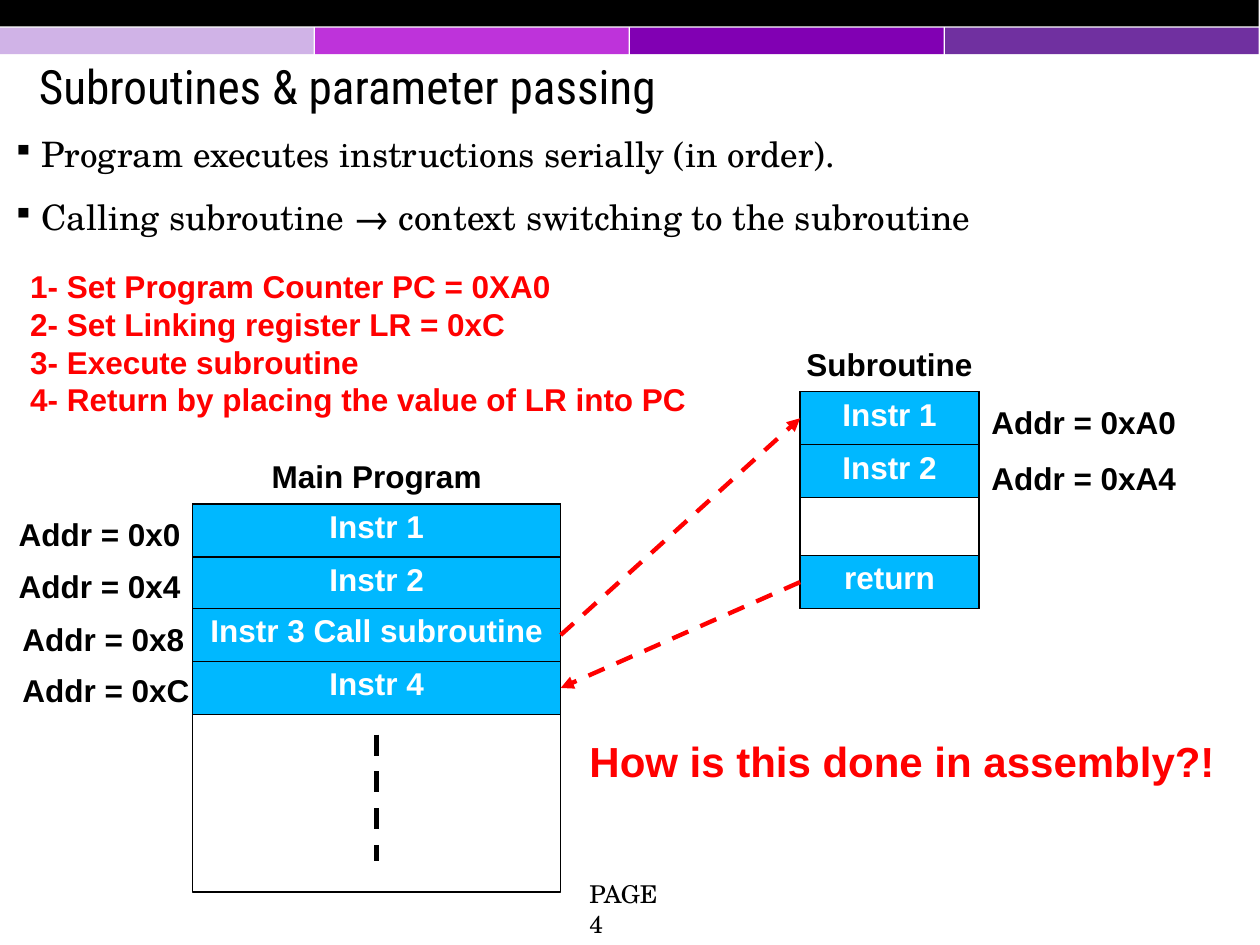
import pptx
import pptx.util
import pptx.dml.color
import pptx.enum.dml
import pptx.enum.shapes
import pptx.enum.text
import pptx.oxml.ns
import lxml.etree

Inches, Pt = pptx.util.Inches, pptx.util.Pt
ALIGN = pptx.enum.text.PP_ALIGN
RED, BLACK, WHITE, BLUE = "FF0000", "000000", "FFFFFF", "00B8FF"
SERIF = "TeX Gyre Schola"

# Content
BANDS = ["D0B3E7", "BE33DA", "8100B3", "7030A0"]
TITLE = "Subroutines & parameter passing"
POINTS = ["Program executes instructions serially (in order).",
          "Calling subroutine → context switching to the subroutine"]
STEPS = ["1- Set Program Counter PC = 0XA0",
         "2- Set Linking register LR = 0xC",
         "3- Execute subroutine",
         "4- Return by placing the value of LR into PC"]
QUERY = "How is this done in assembly?!"
ROW = 0.42
# Each stack: frame, row names with row positions, addresses (text, left, top, width)
MAIN = {"name": "Main Program", "box": (1.53, 4, 2.92, 3.08),
        "rows": [("Instr 1", 0), ("Instr 2", 0.42),
                 ("Instr 3 Call subroutine", 0.83), ("Instr 4", 1.25)],
        "addr": [("Addr = 0x0", 0.05, 4.04, 1.49), ("Addr = 0x4", 0.05, 4.45, 1.49),
                 ("Addr = 0x8", 0.08, 4.87, 1.49), ("Addr = 0xC", 0.08, 5.28, 1.59)]}
SUB = {"name": "Subroutine", "box": (6.35, 3.11, 1.42, 1.72),
       "rows": [("Instr 1", 0), ("Instr 2", 0.42), ("return", 1.3)],
       "addr": [("Addr = 0xA0", 7.77, 3.15, 1.73), ("Addr = 0xA4", 7.77, 3.59, 1.69)]}

deck = pptx.Presentation()
deck.slide_width, deck.slide_height = Inches(10), Inches(7.5)
slide = deck.slides.add_slide(deck.slide_layouts[6])
shapes = slide.shapes


def color(code):
    return pptx.dml.color.RGBColor.from_string(code)


def add(parent, tag, **attrs):
    node = lxml.etree.SubElement(parent, pptx.oxml.ns.qn(tag))
    for key, val in attrs.items():
        node.set(key, val)
    return node


def style(frame, lines, size, code, font, bold, align):
    frame.text = "\n".join(lines)
    frame.word_wrap = True
    frame.vertical_anchor = pptx.enum.text.MSO_ANCHOR.TOP
    for para in frame.paragraphs:
        para.alignment = align
        for run in para.runs:
            run.font.size, run.font.name, run.font.bold = Pt(size), font, bold
            run.font.color.rgb = color(code)


def text(box, lines, size=18, code=BLACK, font="Arial", bold=True, align=ALIGN.LEFT):
    frame = shapes.add_textbox(*map(Inches, box)).text_frame
    style(frame, lines, size, code, font, bold, align)
    return frame


def rect(box, fill, edge=None):
    kind = pptx.enum.shapes.MSO_SHAPE.RECTANGLE
    shape = shapes.add_shape(kind, *map(Inches, box))
    shape.shadow.inherit = False
    shape.fill.solid()
    shape.fill.fore_color.rgb = color(fill)
    if edge:
        shape.line.color.rgb = color(edge)
        shape.line.width = Pt(0.75)
    else:
        shape.line.fill.background()
    return shape


def dash(start, end, code, width):
    kind = pptx.enum.shapes.MSO_CONNECTOR.STRAIGHT
    line = shapes.add_connector(kind, *map(Inches, start + end))
    line.line.color.rgb = color(code)
    line.line.width = Pt(width)
    line.line.dash_style = pptx.enum.dml.MSO_LINE.DASH
    add(line._element.spPr, "a:effectLst")
    return line


def arrow(source, target, out, into):
    line = dash((0, 0), (1, 1), RED, 2.5)
    line.begin_connect(source, out)
    line.end_connect(target, into)
    add(line.line._get_or_add_ln(), "a:tailEnd", type="triangle")


def stack(data):
    left, top, wide, _ = data["box"]
    rect(data["box"], WHITE, BLACK)
    cells = []
    for name, down in data["rows"]:
        cell = rect((left, top + down, wide, ROW), BLUE, BLACK)
        style(cell.text_frame, [name], 18, WHITE, "Arial", True, ALIGN.CENTER)
        cell.text_frame.paragraphs[0].line_spacing = 0.93
        cells.append(cell)
    for name, x, y, w in data["addr"]:
        text((x, y, w, 0.4), [name])
    # Heading centred above the frame
    text((left + wide / 2 - 1, top - 0.42, 2, 0.4), [data["name"]], align=ALIGN.CENTER)
    return cells


# Top bands
rect((0, 0, 9.99, 0.21), BLACK)
for i, code in enumerate(BANDS):
    rect((2.5 * i, 0.22, 2.49, 0.21), code)

# Title and bullets
head = text((0.21, 0.47, 9.49, 0.98), [TITLE], 27, font="Roboto Condensed", bold=False)
head.paragraphs[0].line_spacing = 0.85
body = text((0, 1, 9.5, 5.38), POINTS, 20, font=SERIF, bold=False)
for para in body.paragraphs:
    para.space_before = para.space_after = Pt(6)
    props = para._p.get_or_add_pPr()
    props.set("marL", str(Inches(0.23)))
    props.set("indent", str(-Inches(0.23)))
    add(add(props, "a:buClr"), "a:srgbClr", val=BLACK)
    add(props, "a:buSzPct", val="85000")
    add(props, "a:buChar", char="▪")

# Programs and the jumps between them
main, sub = stack(MAIN), stack(SUB)
dash((2.99, 5.83), (2.99, 6.83), BLACK, 3)
arrow(main[2], sub[0], 3, 1)
arrow(sub[2], main[3], 1, 3)

# Steps, question and page number
text((0.14, 2.07, 5.51, 1.31), STEPS, code=RED)
text((4.58, 5.79, 5.17, 0.5), [QUERY], 24, RED)
text((4.58, 6.93, 0.83, 0.27), ["PAGE 4"], 14, font=SERIF, bold=False)

deck.save("out.pptx")
